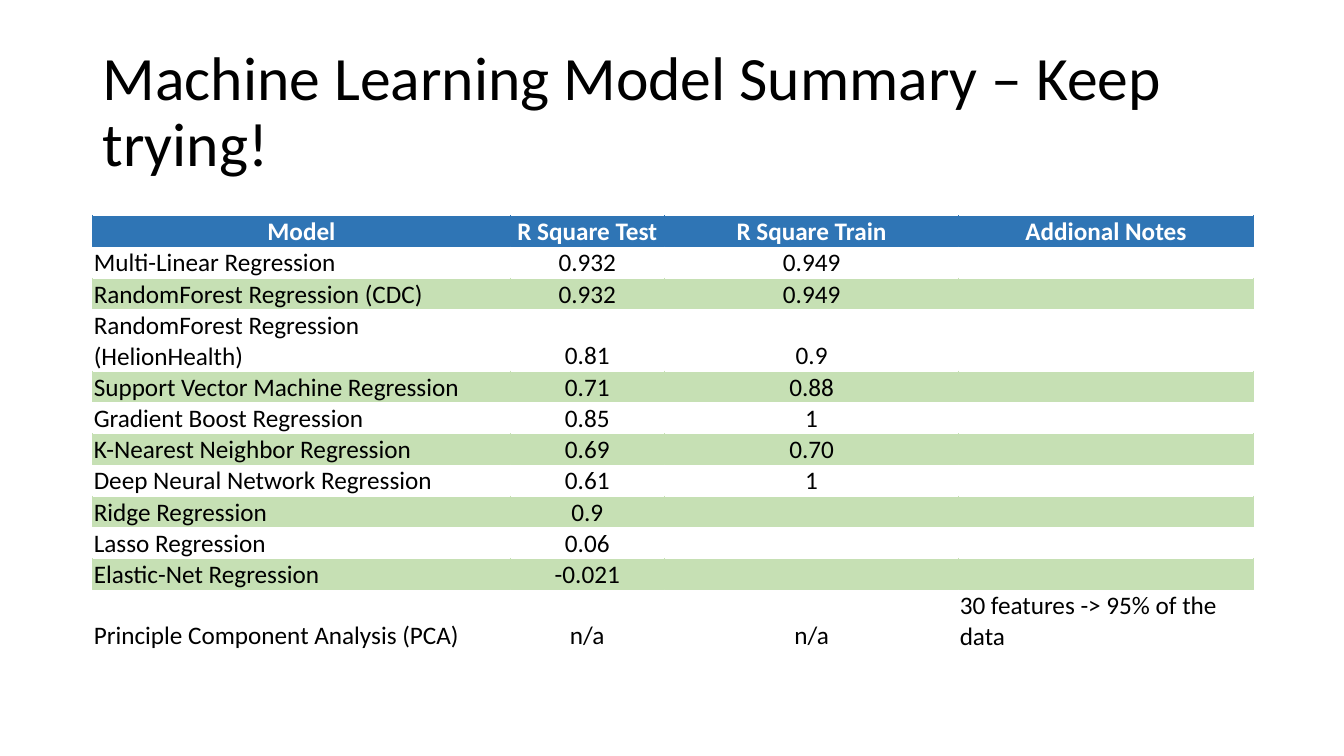
from lxml import etree
from pptx import Presentation
from pptx.dml.color import RGBColor
from pptx.enum.text import MSO_ANCHOR, PP_ALIGN
from pptx.oxml.ns import qn
from pptx.util import Inches, Pt

MIDDLE, BOTTOM = MSO_ANCHOR.MIDDLE, MSO_ANCHOR.BOTTOM
LEFT, CENTER = PP_ALIGN.LEFT, PP_ALIGN.CENTER
FONT = "Calibri"
COLORS = {"text": "000000", "white": "FFFFFF", "header": "2F75B5", "band": "C6E0B4"}

ROWS = [
    ("Model", "R Square Test", "R Square Train", "Addional Notes"),
    ("Multi-Linear Regression", "0.932", "0.949", ""),
    ("RandomForest Regression (CDC)", "0.932", "0.949", ""),
    ("RandomForest Regression (HelionHealth)", "0.81", "0.9", ""),
    ("Support Vector Machine Regression", "0.71", "0.88", ""),
    ("Gradient Boost Regression", "0.85", "1", ""),
    ("K-Nearest Neighbor Regression", "0.69", "0.70", ""),
    ("Deep Neural Network Regression", "0.61", "1", ""),
    ("Ridge Regression", "0.9", "", ""),
    ("Lasso Regression", "0.06", "", ""),
    ("Elastic-Net Regression", "-0.021", "", ""),
    ("Principle Component Analysis (PCA)", "n/a", "n/a", "30 features -> 95% of the data"),
]
COL_WIDTHS = (4.14, 1.53, 2.92, 2.92)
ROW_HEIGHT, TWO_LINE_HEIGHT = 0.31, 0.61
TWO_LINE_ROWS = (3, 11)


def format_text(p, size, color, bold=False):
    for r in p.runs:
        r.font.name = FONT
        r.font.size = Pt(size)
        r.font.bold = bold
        r.font.color.rgb = RGBColor.from_string(color)


def set_borders(cell, side_color):
    """Give the cell white top and bottom lines and coloured side lines."""
    tc_pr = cell._tc.get_or_add_tcPr()
    for side, color in (("L", side_color), ("R", side_color),
                        ("T", COLORS["white"]), ("B", COLORS["white"])):
        ln = etree.SubElement(tc_pr, qn(f"a:ln{side}"), w=str(Pt(0.5)))
        fill = etree.SubElement(ln, qn("a:solidFill"))
        etree.SubElement(fill, qn("a:srgbClr"), val=color)


prs = Presentation()
prs.slide_width, prs.slide_height = Inches(13.33), Inches(7.5)
slide = prs.slides.add_slide(prs.slide_layouts[6])

# Title
title = slide.shapes.add_textbox(Inches(0.92), Inches(0.4), Inches(11.5), Inches(1.45))
tf = title.text_frame
tf.word_wrap = True
tf.vertical_anchor = MIDDLE
tf.text = "Machine Learning Model Summary – Keep trying!"
tf.paragraphs[0].line_spacing = 0.9
format_text(tf.paragraphs[0], 44, COLORS["text"])

# Model table
frame = slide.shapes.add_table(len(ROWS), len(COL_WIDTHS), Inches(0.92), Inches(2.14),
                               Inches(11.5), Inches(4.33))
table = frame.table
table.first_row = True
table.horz_banding = False
for column, width in zip(table.columns, COL_WIDTHS):
    column.width = Inches(width)

for i, values in enumerate(ROWS):
    table.rows[i].height = Inches(TWO_LINE_HEIGHT if i in TWO_LINE_ROWS else ROW_HEIGHT)
    is_header = i == 0
    if is_header:
        fill_color = COLORS["header"]
    else:
        fill_color = COLORS["band"] if i % 2 == 0 else COLORS["white"]
    for j, value in enumerate(values):
        cell = table.cell(i, j)
        cell.text = value
        cell.vertical_anchor = BOTTOM
        cell.margin_left = cell.margin_right = cell.margin_top = Inches(0.01)
        cell.margin_bottom = 0
        set_borders(cell, fill_color)
        cell.fill.solid()
        cell.fill.fore_color.rgb = RGBColor.from_string(fill_color)
        p = cell.text_frame.paragraphs[0]
        p.alignment = CENTER if is_header or j in (1, 2) else LEFT
        format_text(p, 18, COLORS["white" if is_header else "text"], bold=is_header)

prs.save("out.pptx")
